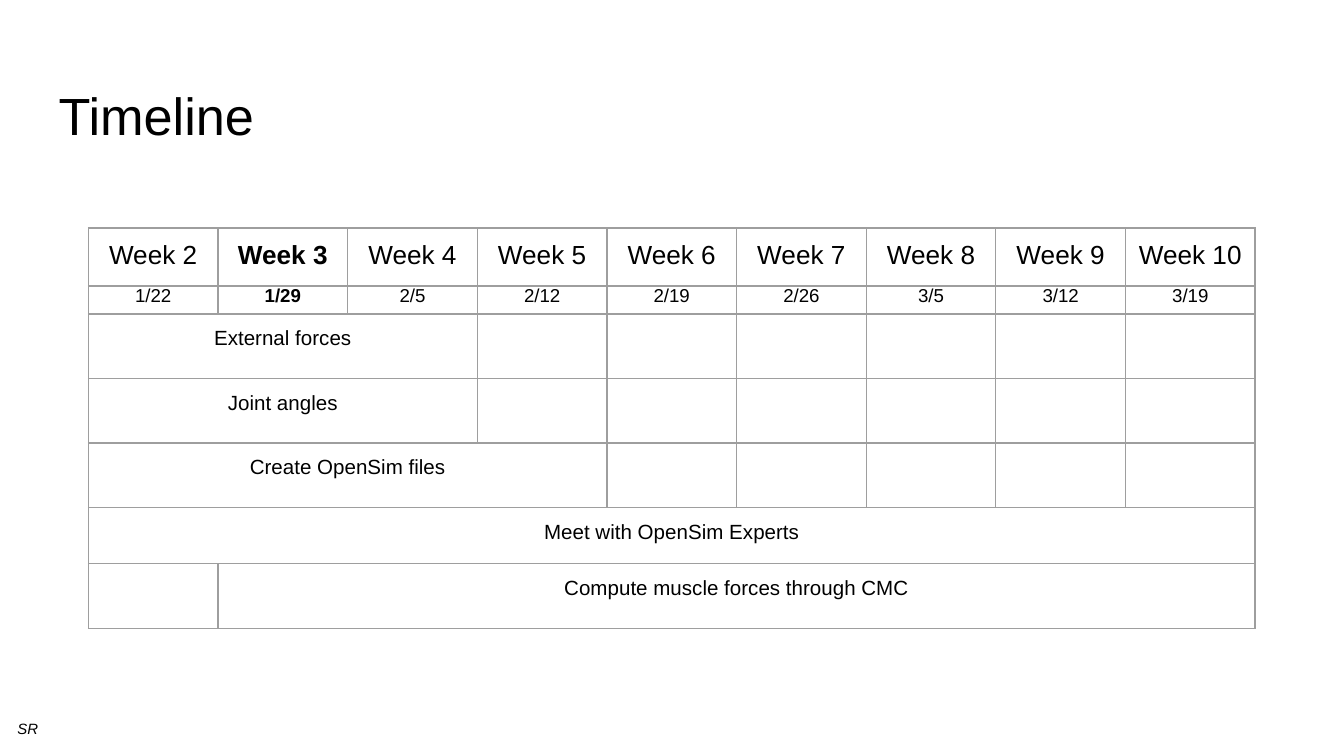
import pptx
import pptx.dml.color
import pptx.enum.text
import pptx.oxml
import pptx.oxml.ns
import pptx.util
from dataclasses import dataclass

Cm = pptx.util.Cm
CENTER = pptx.enum.text.PP_ALIGN.CENTER


@dataclass(frozen=True)
class Theme:
    font: str = "Arial"
    text: str = "000000"
    border: str = "9E9E9E"
    border_width: float = 0.75
    title: int = 28
    week: int = 14
    date: int = 10
    task: int = 11
    initials: int = 8
    inset: float = 0.25


class SlideBuilder:
    def __init__(self, slide, theme):
        self.slide = slide
        self.theme = theme

    def add_styled_run(self, paragraph, text, size, alignment=None, **extra):
        paragraph.alignment = alignment
        run = paragraph.add_run()
        run.text = text
        formats = {"name": self.theme.font, "size": pptx.util.Pt(size), **extra}
        for name, value in formats.items():
            setattr(run.font, name, value)
        run.font.color.rgb = pptx.dml.color.RGBColor.from_string(self.theme.text)

    def set_margins(self, target, vertical):
        inset = Cm(self.theme.inset)
        margins = {"margin_left": inset, "margin_right": inset,
                   "margin_top": Cm(vertical), "margin_bottom": Cm(vertical)}
        for name, value in margins.items():
            setattr(target, name, value)

    def add_text(self, text, left, top, width, height, size, vertical, **extra):
        shape = self.slide.shapes.add_textbox(Cm(left), Cm(top), Cm(width), Cm(height))
        frame = shape.text_frame
        frame.word_wrap = True
        self.set_margins(frame, vertical)
        self.add_styled_run(frame.paragraphs[0], text, size, **extra)

    def add_table(self, left, top, column_width, row_heights, column_count):
        shape = self.slide.shapes.add_table(
            len(row_heights), column_count, Cm(left), Cm(top),
            Cm(column_width * column_count), Cm(sum(row_heights)))
        table = shape.table
        table.first_row = table.horz_banding = False
        for column in table.columns:
            column.width = Cm(column_width)
        for row, height in zip(table.rows, row_heights):
            row.height = Cm(height)
        for cell in table.iter_cells():
            self.outline(cell)
            cell.fill.background()
        return table

    def outline(self, cell):
        properties = cell._tc.get_or_add_tcPr()
        width = pptx.util.Pt(self.theme.border_width)
        for side in ("lnL", "lnR", "lnT", "lnB"):
            properties.append(pptx.oxml.parse_xml(
                f'<a:{side} {pptx.oxml.ns.nsdecls("a")} w="{int(width)}"><a:solidFill>'
                f'<a:srgbClr val="{self.theme.border}"/></a:solidFill></a:{side}>'))

    def fill_cell(self, cell, text, size, vertical, **extra):
        self.set_margins(cell, vertical)
        self.add_styled_run(cell.text_frame.paragraphs[0], text, size, CENTER, **extra)


DATES = ["1/22", "1/29", "2/5", "2/12", "2/19", "2/26", "3/5", "3/12", "3/19"]
FIRST_WEEK = 2
CURRENT_WEEK = 3
ROW_HEIGHTS = [1.06, 0.53, 1.22, 1.22, 1.22, 1.06, 1.22]
# Task, first column, last column
TASKS = [
    ("External forces", 0, 2),
    ("Joint angles", 0, 2),
    ("Create OpenSim files", 0, 3),
    ("Meet with OpenSim Experts", 0, 8),
    ("Compute muscle forces through CMC", 1, 8),
]


def main():
    presentation = pptx.Presentation()
    presentation.slide_width = Cm(25.4)
    presentation.slide_height = Cm(14.29)
    theme = Theme()
    builder = SlideBuilder(
        presentation.slides.add_slide(presentation.slide_layouts[6]), theme)

    # Title
    builder.add_text("Timeline", 0.86, 1.24, 23.67, 1.6, theme.title, vertical=0.33)

    # Week and date headings
    table = builder.add_table(1.67, 4.31, 2.45, ROW_HEIGHTS, len(DATES))
    for column, date in enumerate(DATES):
        week = FIRST_WEEK + column
        bold = week == CURRENT_WEEK
        builder.fill_cell(table.cell(0, column), f"Week {week}", theme.week,
                          theme.inset, bold=bold)
        builder.fill_cell(table.cell(1, column), date, theme.date, 0, bold=bold)

    # Task bars
    for row, (task, first, last) in enumerate(TASKS, start=2):
        cell = table.cell(row, first)
        cell.merge(table.cell(row, last))
        builder.fill_cell(cell, task, theme.task, theme.inset)

    # Author initials
    builder.add_text("SR", 0.08, 13.44, 1.32, 0.86, theme.initials,
                     vertical=theme.inset, italic=True)

    presentation.save("out.pptx")


if __name__ == "__main__":
    main()
